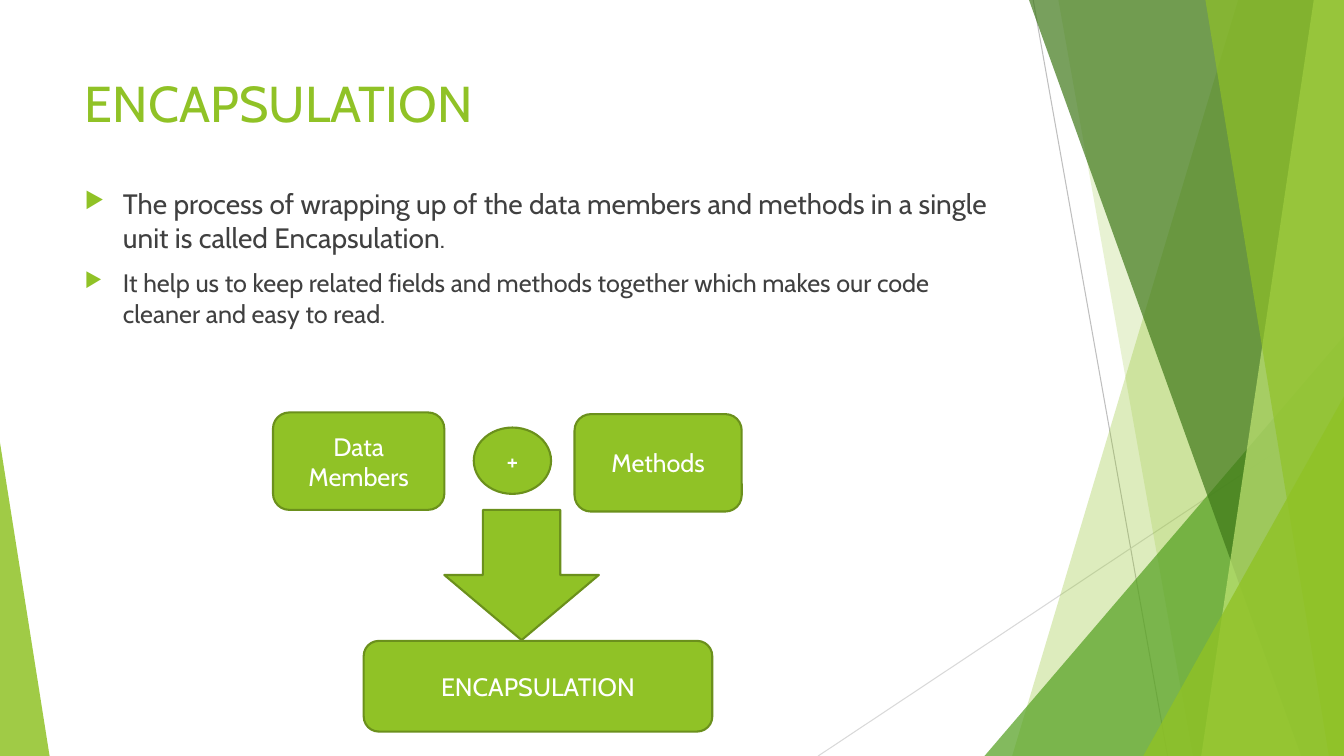
"""Build the ENCAPSULATION slide: title, two bullets, a flow diagram and a green facet border."""
from dataclasses import dataclass

from lxml.etree import SubElement
from pptx import Presentation
from pptx.dml.color import RGBColor
from pptx.enum.shapes import MSO_CONNECTOR, MSO_SHAPE as Kind
from pptx.enum.text import MSO_ANCHOR as Anchor, MSO_AUTO_SIZE, PP_ALIGN as Align
from pptx.oxml.ns import qn
from pptx.util import Inches, Pt

COLS, ROWS = 16, 9
FONT = "Cabin"
COLORS = {
    "green": "90C226", "outline": "6B901C", "leaf": "54A021", "forest": "3F7819",
    "lime": "C0E474", "text": "404040", "white": "FFFFFF",
    "gray": "BFBFBF", "pale": "D9D9D9",
}


@dataclass
class Box:
    """Left, top, width and height in grid columns and rows."""
    x: float
    y: float
    w: float
    h: float


@dataclass
class Band:
    """A facet from its slanted left edge to the right side of the slide."""
    top: float
    bottom: float
    color: str
    alpha: int


@dataclass
class Corner:
    """A right triangle standing on the bottom of the slide."""
    box: Box
    apex: float
    color: str
    alpha: int


@dataclass
class Ray:
    """A thin line between two grid points."""
    x1: float
    y1: float
    x2: float
    y2: float
    color: str


@dataclass
class Node:
    """A shape of the diagram with its label."""
    kind: Kind
    box: Box
    label: str = ""


FACETS = [
    Ray(12.3, 0, 13.9, 9, "gray"),
    Ray(16, 4.84, 9.74, 9, "pale"),
    Band(14.74, 12.05, "green", 30),
    Band(12.6, 14.2, "green", 20),
    Corner(Box(11.72, 4, 4.28, 5), 1, "leaf", 72),
    Band(12.25, 15.49, "forest", 70),
    Band(15.64, 14.3, "lime", 70),
    Band(14.35, 15.82, "green", 65),
    Corner(Box(13.61, 4.72, 2.39, 4.28), 1, "green", 80),
    Corner(Box(0, 5.27, 0.59, 3.73), 0, "green", 85),
]
NODES = [
    Node(Kind.ROUNDED_RECTANGLE, Box(3.25, 4.91, 2.04, 1.16), "Data Members"),
    Node(Kind.ROUNDED_RECTANGLE, Box(6.84, 4.93, 1.99, 1.16), "Methods"),
    Node(Kind.OVAL, Box(5.64, 5.09, 0.92, 0.79), "+"),
    Node(Kind.ROUNDED_RECTANGLE, Box(4.33, 7.63, 4.15, 1.08), "ENCAPSULATION"),
    Node(Kind.DOWN_ARROW, Box(5.29, 6.07, 1.84, 1.55)),
]
BULLETS = [
    [("The process of wrapping up of the data members and methods in a single "
      "unit is called Encapsulation", 20), (".", 18)],
    [("It help us to keep related fields and methods together which makes our "
      "code cleaner and easy to read.", 18)],
]

prs = Presentation()
prs.slide_width, prs.slide_height = Inches(13.33), Inches(7.5)
s = prs.slides.add_slide(prs.slide_layouts[5])


def gx(col: float) -> int:
    """Turn grid columns into a length."""
    return round(prs.slide_width * col / COLS)


def gy(row: float) -> int:
    """Turn grid rows into a length."""
    return round(prs.slide_height * row / ROWS)


def place(box: Box) -> tuple:
    """Turn a grid box into left, top, width and height."""
    return gx(box.x), gy(box.y), gx(box.w), gy(box.h)


def rgb(name: str) -> RGBColor:
    """Look up a colour by name."""
    return RGBColor.from_string(COLORS[name])


def write(p, text: str, *, size: int = 18, color: str = "text", align=Align.LEFT) -> None:
    """Add a formatted run to a paragraph."""
    p.alignment = align
    r = p.add_run()
    r.text = text
    r.font.name, r.font.size = FONT, Pt(size)
    r.font.color.rgb = rgb(color)


def paint(sp, color: str, alpha: int = 100, line: str = "") -> None:
    """Fill a shape, set its opacity and outline, and drop its shadow."""
    sp.shadow.inherit = False
    sp.fill.solid()
    sp.fill.fore_color.rgb = rgb(color)
    if alpha < 100:
        clr = sp._element.spPr.find(qn("a:solidFill"))[0]
        SubElement(clr, qn("a:alpha"), val=str(alpha * 1000))
    if line:
        sp.line.color.rgb, sp.line.width = rgb(line), Pt(1.5)
    else:
        sp.line.fill.background()


def draw_ray(ray: Ray) -> None:
    """Draw a thin straight line."""
    sp = s.shapes.add_connector(
        MSO_CONNECTOR.STRAIGHT, gx(ray.x1), gy(ray.y1), gx(ray.x2), gy(ray.y2))
    sp.line.color.rgb, sp.line.width = rgb(ray.color), Pt(0.75)
    SubElement(sp._element.spPr, qn("a:effectLst"))


def draw_band(band: Band) -> None:
    """Draw a full-height facet."""
    fb = s.shapes.build_freeform(gx(band.top), 0)
    fb.add_line_segments([(gx(COLS), 0), (gx(COLS), gy(ROWS)), (gx(band.bottom), gy(ROWS))])
    paint(fb.convert_to_shape(), band.color, band.alpha)


def draw_corner(corner: Corner) -> None:
    """Draw a triangular facet."""
    sp = s.shapes.add_shape(Kind.ISOSCELES_TRIANGLE, *place(corner.box))
    sp.adjustments[0] = corner.apex
    paint(sp, corner.color, corner.alpha)


def draw_node(node: Node) -> None:
    """Draw a diagram shape with its centred label."""
    sp = s.shapes.add_shape(node.kind, *place(node.box))
    paint(sp, "green", line="outline")
    if node.label:
        tf = sp.text_frame
        tf.word_wrap, tf.vertical_anchor = True, Anchor.MIDDLE
        write(tf.paragraphs[0], node.label, color="white", align=Align.CENTER)


def add_bullet(p) -> None:
    """Give a paragraph a hanging green arrowhead bullet."""
    p.space_before = Pt(10)
    pPr = p._p.get_or_add_pPr()
    pPr.set("marL", str(Inches(0.38)))
    pPr.set("indent", str(-Inches(0.38)))
    SubElement(SubElement(pPr, qn("a:buClr")), qn("a:srgbClr"), val=COLORS["green"])
    SubElement(pPr, qn("a:buSzPct"), val="80000")
    SubElement(pPr, qn("a:buChar"), char="▶")


def draw_title(text: str, box: Box) -> None:
    """Move, format and fill the title placeholder."""
    sp = s.shapes.title
    sp.left, sp.top, sp.width, sp.height = place(box)
    tf = sp.text_frame
    tf.auto_size, tf.vertical_anchor = MSO_AUTO_SIZE.NONE, Anchor.TOP
    write(tf.paragraphs[0], text, size=36, color="green")


def draw_body(box: Box) -> None:
    """Write the bulleted paragraphs."""
    tf = s.shapes.add_textbox(*place(box)).text_frame
    tf.word_wrap = True
    for i, runs in enumerate(BULLETS):
        p = tf.add_paragraph() if i else tf.paragraphs[0]
        add_bullet(p)
        for text, size in runs:
            write(p, text, size=size)


DRAW = {Ray: draw_ray, Band: draw_band, Corner: draw_corner, Node: draw_node}
for item in FACETS:
    DRAW[type(item)](item)
draw_title("ENCAPSULATION", Box(0.89, 0.8, 11.28, 1.73))
draw_body(Box(0.89, 2.16, 11.28, 5.77))
for item in NODES:
    DRAW[type(item)](item)
prs.save("out.pptx")
